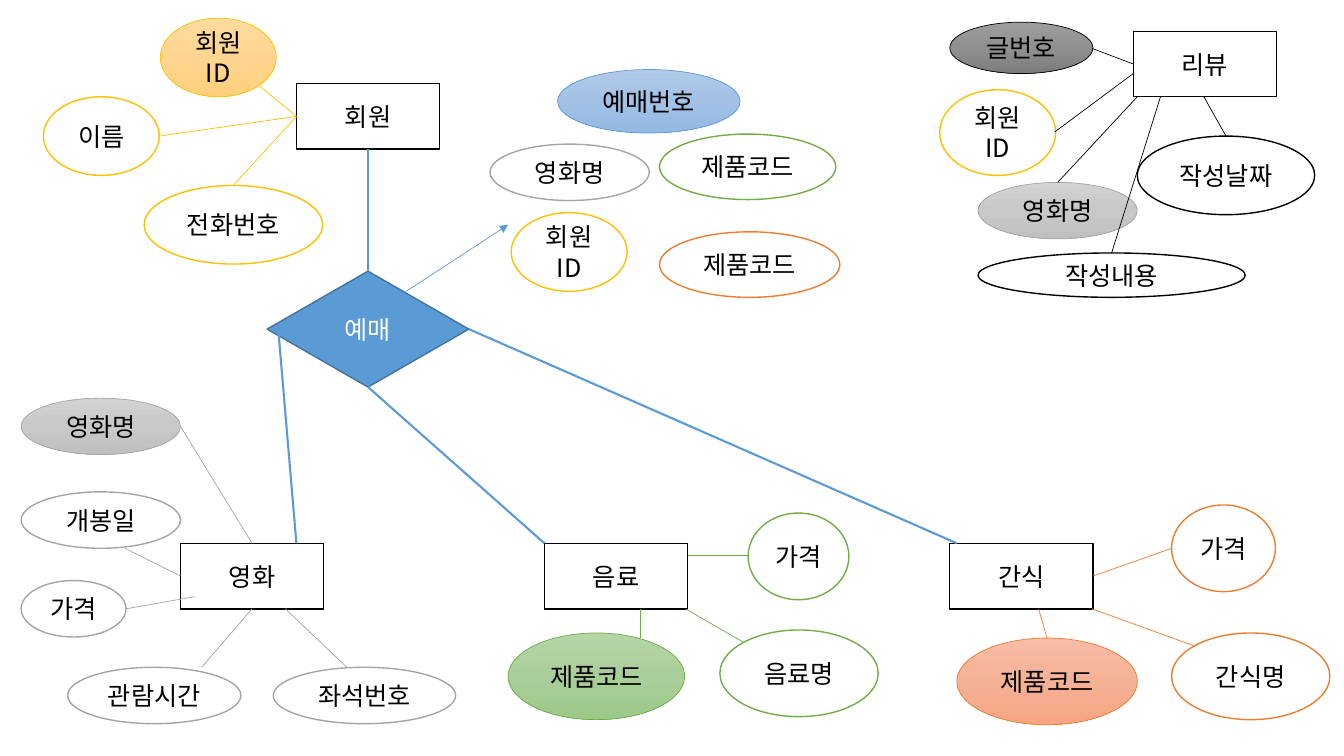
from copy import deepcopy

from lxml import etree
from pptx import Presentation
from pptx import util as u
from pptx.dml.color import RGBColor
from pptx.enum import shapes, text
from pptx.oxml import ns

YELLOW, GRAY, GREEN = "FFC000", "A5A5A5", "70AD47"
ORANGE, BLUE, BLACK, WHITE = "ED7D31", "5B9BD5", "000000", "FFFFFF"
KEY_FILLS = {
    YELLOW: ("FFDB9E", "FFD590", "FFD07C"),
    GRAY: ("D2D2D2", "C8C8C8", "C0C0C0"),
    GREEN: ("B5D5A7", "AACE9A", "9CC987"),
    ORANGE: ("F7BDA5", "F5B196", "F8A582"),
    BLUE: ("B1CBE9", "A3C1E5", "93B9E4"),
    BLACK: ("9D9D9D", "909090", "7C7C7C"),
}
TOP, LEFT, BOTTOM, RIGHT = range(4)


def rgb(value):
    return RGBColor.from_string(value)


class Diagram:
    font = "Noto Sans CJK KR"
    size = 18
    entity_size = (1.42, 0.65)

    def __init__(self, slide):
        self.slide = slide

    def node(self, preset, label, box, fill, line, weight=1, color=BLACK):
        shape = self.slide.shapes.add_shape(preset, *map(u.Inches, box))
        shape.shadow.inherit = False
        shape.fill.solid()
        shape.fill.fore_color.rgb = rgb(fill)
        shape.line.color.rgb = rgb(line)
        shape.line.width = u.Pt(weight)
        frame = shape.text_frame
        frame.word_wrap = True
        frame.vertical_anchor = text.MSO_ANCHOR.MIDDLE
        paragraph = frame.paragraphs[0]
        paragraph.alignment = text.PP_ALIGN.CENTER
        run = paragraph.add_run()
        run.text = label
        run.font.size = u.Pt(self.size)
        run.font.name = self.font
        run.font.color.rgb = rgb(color)
        east_asian = etree.SubElement(run.font._element, ns.qn("a:ea"))
        east_asian.set("typeface", self.font)
        return shape

    def entity(self, label, left, top):
        return self.node(shapes.MSO_SHAPE.RECTANGLE, label,
                         (left, top, *self.entity_size), WHITE, BLACK)

    def relationship(self, label, *box):
        return self.node(shapes.MSO_SHAPE.DIAMOND, label, box, BLUE, "43739E", color=WHITE)

    def attribute(self, label, color, *box):
        return self.node(shapes.MSO_SHAPE.OVAL, label, box, WHITE, color)

    def key(self, label, color, *box):
        """Key attribute: an oval with a vertical three-stop gradient."""
        oval = self.node(shapes.MSO_SHAPE.OVAL, label, box, WHITE, color, 0.5)
        oval.fill.gradient()
        oval.fill.gradient_angle = 270
        stop_list = oval._element.spPr.find(".//" + ns.qn("a:gsLst"))
        stop_list.append(deepcopy(stop_list[-1]))
        for i, (stop, tint) in enumerate(zip(oval.fill.gradient_stops, KEY_FILLS[color])):
            stop.position = i / 2
            stop.color.rgb = rgb(tint)
        return oval

    def link(self, color, start, end, weight=0.5, arrow=False):
        """Each end is an (x, y) point or a (shape, side) pair."""
        line = self.slide.shapes.add_connector(shapes.MSO_CONNECTOR.STRAIGHT, 0, 0, 0, 0)
        if isinstance(start[0], (int, float)):
            line.begin_x, line.begin_y = map(u.Inches, start)
        else:
            line.begin_connect(*start)
        if isinstance(end[0], (int, float)):
            line.end_x, line.end_y = map(u.Inches, end)
        else:
            line.end_connect(*end)
        line.line.color.rgb = rgb(color)
        line.line.width = u.Pt(weight)
        if arrow:
            tail = etree.SubElement(line.line._get_or_add_ln(), ns.qn("a:tailEnd"))
            tail.set("type", "triangle")
        etree.SubElement(line._element.spPr, ns.qn("a:effectLst"))


def main():
    prs = Presentation()
    prs.slide_width, prs.slide_height = u.Inches(13.33), u.Inches(7.5)
    erd = Diagram(prs.slides.add_slide(prs.slide_layouts[6]))

    # Entities and the booking relationship
    movie = erd.entity("영화", 1.79, 5.39)
    drink = erd.entity("음료", 5.4, 5.39)
    snack = erd.entity("간식", 9.42, 5.39)
    member = erd.entity("회원", 2.94, 0.83)
    review = erd.entity("리뷰", 11.24, 0.31)
    booking = erd.relationship("예매", 2.65, 2.69, 2, 1.15)
    for start, end in [
        ((booking, RIGHT), (9.49, 5.39)),
        ((member, BOTTOM), (booking, TOP)),
        ((booking, BOTTOM), (5.4, 5.39)),
        ((2.76, 3.27), (2.94, 5.39)),
    ]:
        erd.link(BLUE, start, end, 1.5)

    # Member attributes
    erd.attribute("이름", YELLOW, 0.43, 0.96, 1.15, 0.78)
    phone = erd.attribute("전화번호", YELLOW, 1.43, 1.84, 1.77, 0.78)
    erd.key("회원ID", YELLOW, 1.59, 0.18, 1.15, 0.78)
    for start in [(1.58, 1.35), (phone, TOP), (2.57, 0.85)]:
        erd.link(YELLOW, start, (member, LEFT))

    # Movie attributes
    erd.key("영화명", GRAY, 0.21, 3.95, 1.58, 0.56)
    for label, left, top, width in [
        ("개봉일", 0.21, 4.88, 1.58),
        ("가격", 0.21, 5.76, 1.04),
        ("관람시간", 0.67, 6.62, 1.72),
        ("좌석번호", 2.71, 6.62, 1.81),
    ]:
        erd.attribute(label, GRAY, left, top, width, 0.56)
    for start, end in [
        ((1.79, 4.23), (movie, TOP)),
        ((1.24, 5.44), (movie, LEFT)),
        ((1.25, 6.04), (1.93, 5.92)),
        ((2, 6.62), (movie, BOTTOM)),
        ((3.44, 6.62), (2.83, 6.04)),
    ]:
        erd.link(GRAY, start, end)

    # Drink attributes
    erd.key("제품코드", GREEN, 5.04, 6.28, 1.75, 0.86)
    erd.attribute("가격", GREEN, 7.42, 5.09, 1, 0.86)
    erd.attribute("음료명", GREEN, 7.14, 6.25, 1.57, 0.86)
    for start, end in [
        ((6.35, 6.04), (6.35, 6.33)),
        ((7.42, 5.51), (6.82, 5.51)),
        ((7.37, 6.37), (6.8, 6.04)),
    ]:
        erd.link(GREEN, start, end)

    # Snack attributes
    snack_code = erd.key("제품코드", ORANGE, 9.49, 6.33, 1.79, 0.86)
    erd.attribute("간식명", ORANGE, 11.62, 6.28, 1.57, 0.86)
    erd.attribute("가격", ORANGE, 11.62, 5.01, 1.03, 0.86)
    for start, end in [
        ((snack_code, TOP), (10.3, 6.04)),
        ((11.62, 5.44), (snack, RIGHT)),
        ((11.85, 6.41), (10.83, 6.04)),
    ]:
        erd.link(ORANGE, start, end)

    # Booking attributes
    erd.key("예매번호", BLUE, 5.53, 0.69, 1.81, 0.63)
    erd.attribute("회원ID", YELLOW, 5.07, 2.11, 1.15, 0.78)
    erd.attribute("영화명", GRAY, 4.86, 1.43, 1.58, 0.56)
    erd.attribute("제품코드", GREEN, 6.54, 1.33, 1.75, 0.65)
    erd.attribute("제품코드", ORANGE, 6.54, 2.3, 1.79, 0.65)
    erd.link(BLUE, (4.03, 2.89), (5.04, 2.23), arrow=True)

    # Review attributes
    erd.key("글번호", BLACK, 9.42, 0.22, 1.42, 0.51)
    written_date = erd.attribute("작성날짜", BLACK, 11.28, 1.35, 1.76, 0.78)
    erd.attribute("회원ID", YELLOW, 9.32, 0.89, 1.15, 0.85)
    review_movie = erd.key("영화명", GRAY, 9.7, 1.81, 1.58, 0.56)
    content = erd.attribute("작성내용", BLACK, 9.7, 2.51, 2.65, 0.44)
    for start, end in [
        ((review, LEFT), (10.83, 0.48)),
        ((10.46, 1.31), (11.24, 0.73)),
        ((review_movie, TOP), (11.28, 0.96)),
        ((written_date, TOP), (11.94, 0.96)),
        ((content, TOP), (11.51, 0.96)),
    ]:
        erd.link(BLACK, start, end)

    prs.save("out.pptx")


if __name__ == "__main__":
    main()
